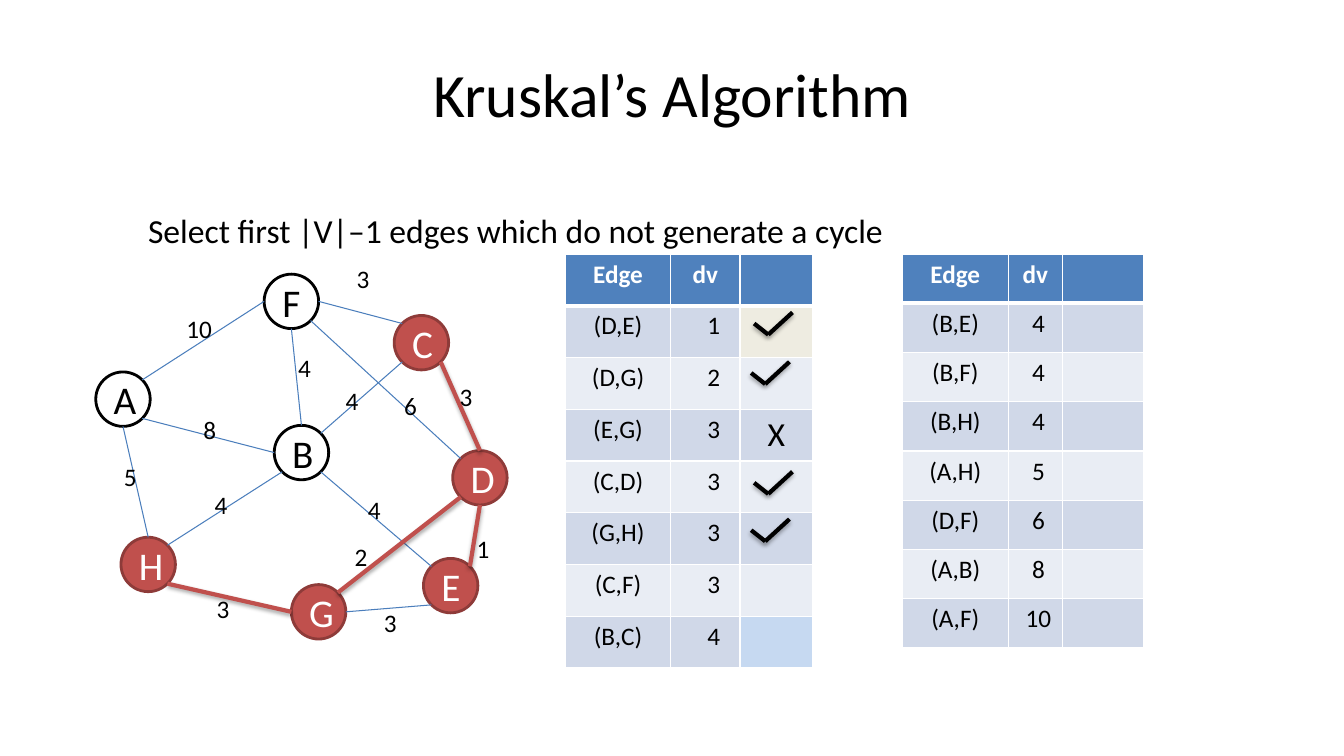
from math import cos, radians, sin

from lxml.etree import SubElement
from pptx import Presentation
from pptx.dml.color import RGBColor
from pptx.enum.shapes import MSO_CONNECTOR, MSO_SHAPE
from pptx.enum.text import MSO_ANCHOR, PP_ALIGN
from pptx.oxml.ns import qn
from pptx.util import Inches, Pt

BLACK = RGBColor(0x00, 0x00, 0x00)
WHITE = RGBColor(0xFF, 0xFF, 0xFF)
RED = RGBColor(0xC0, 0x50, 0x4D)
DARK_RED = RGBColor(0x8E, 0x3B, 0x39)
EDGE_BLUE = RGBColor(0x4B, 0x7E, 0xBC)
HEADER_BLUE = RGBColor(0x4F, 0x81, 0xBD)
BAND_DARK = RGBColor(0xD0, 0xD8, 0xE8)
BAND_LIGHT = RGBColor(0xE9, 0xED, 0xF4)
CREAM = RGBColor(0xEE, 0xEC, 0xE1)
PALE_BLUE = RGBColor(0xC6, 0xD9, 0xF1)

NODE_SIZE = 0.54
COMPASS = {d: 45 * i for i, d in enumerate(["E", "SE", "S", "SW", "W", "NW", "N", "NE"])}

# Centre of each vertex
NODES = {
    "F": (2.89, 2.99), "A": (1.22, 3.96), "H": (1.47, 5.6), "G": (3.16, 6.07),
    "E": (4.47, 5.81), "D": (4.76, 4.74), "C": (4.18, 3.4), "B": (2.99, 4.49),
}
TREE_NODES = "CDEGH"

# Vertex and side where each edge starts and ends
EDGES = [
    ("F", "W", "A", "NE"), ("A", "S", "H", "N"), ("G", "E", "E", "SW"),
    ("C", "NW", "F", "E"), ("B", "NE", "C", "SW"), ("B", "N", "F", "S"),
    ("B", "W", "A", "SE"), ("B", "SW", "H", "NE"), ("B", "SE", "E", "NW"),
    ("D", "NW", "F", "SE"),
]
TREE_EDGES = [
    ("H", "SE", "G", "W"), ("E", "NE", "D", "S"), ("D", "N", "C", "SE"),
    ("D", "SW", "G", "NE"),
]
WEIGHTS = [
    ("1", 4.63, 5.24), ("5", 1.13, 4.53), ("10", 1.75, 3.06), ("3", 4.46, 3.73),
    ("3", 3.71, 5.98), ("3", 2.05, 5.84), ("4", 2.03, 4.81), ("8", 1.92, 4.06),
    ("4", 2.86, 3.45), ("4", 3.33, 3.77), ("4", 3.55, 4.85), ("6", 3.91, 3.82),
    ("2", 3.42, 5.32), ("3", 3.44, 2.56),
]
CHECKS = [(7.62, 3.32), (7.59, 3.81), (7.62, 4.9), (7.59, 5.37)]

HEADER = ("Edge", "dv", "")
FIRST_EDGES = [
    HEADER, ("(D,E)", "1", ""), ("(D,G)", "2", ""), ("(E,G)", "3", "X"),
    ("(C,D)", "3", ""), ("(G,H)", "3", ""), ("(C,F)", "3", ""), ("(B,C)", "4", ""),
]
LAST_EDGES = [
    HEADER, ("(B,E)", "4", ""), ("(B,F)", "4", ""), ("(B,H)", "4", ""),
    ("(A,H)", "5", ""), ("(D,F)", "6", ""), ("(A,B)", "8", ""), ("(A,F)", "10", ""),
]


def rim(name, side):
    """Return the point on a vertex's circle at a compass side."""
    x, y = NODES[name]
    angle = radians(COMPASS[side])
    return x + NODE_SIZE / 2 * cos(angle), y + NODE_SIZE / 2 * sin(angle)


class SlideBuilder:
    def __init__(self, slide, font="Calibri"):
        self.shapes = slide.shapes
        self.font = font

    def set_text(self, tf, text, size, color=BLACK, align=PP_ALIGN.LEFT, bold=False):
        tf.text = text
        p = tf.paragraphs[0]
        p.alignment = align
        for r in p.runs:
            r.font.name = self.font
            r.font.size = Pt(size)
            r.font.bold = bold
            r.font.color.rgb = color

    def text(self, text, x, y, w, h, size, align=PP_ALIGN.LEFT, anchor=MSO_ANCHOR.TOP):
        tf = self.shapes.add_textbox(Inches(x), Inches(y), Inches(w), Inches(h)).text_frame
        tf.word_wrap = True
        tf.vertical_anchor = anchor
        self.set_text(tf, text, size, align=align)

    def node(self, name):
        x, y = NODES[name]
        size = Inches(NODE_SIZE)
        sp = self.shapes.add_shape(MSO_SHAPE.OVAL, Inches(x - NODE_SIZE / 2),
                                   Inches(y - NODE_SIZE / 2), size, size)
        sp.shadow.inherit = False
        in_tree = name in TREE_NODES
        sp.fill.solid()
        sp.fill.fore_color.rgb = RED if in_tree else WHITE
        sp.line.color.rgb = DARK_RED if in_tree else BLACK
        sp.line.width = Pt(2)
        sp.text_frame.vertical_anchor = MSO_ANCHOR.MIDDLE
        self.set_text(sp.text_frame, name, 28, WHITE if in_tree else BLACK, PP_ALIGN.CENTER)

    def line(self, start, end, color, width, shadow=False):
        points = [Inches(v) for v in (*start, *end)]
        cxn = self.shapes.add_connector(MSO_CONNECTOR.STRAIGHT, *points)
        cxn.line.color.rgb = color
        cxn.line.width = Pt(width)
        effects = SubElement(cxn._element.spPr, qn("a:effectLst"))
        if shadow:
            outer = SubElement(effects, qn("a:outerShdw"), blurRad=str(Pt(3.1)),
                               dist=str(Pt(1.8)), dir="5400000", rotWithShape="0")
            clr = SubElement(outer, qn("a:srgbClr"), val=str(BLACK))
            SubElement(clr, qn("a:alpha"), val="35000")

    def check(self, x, y):
        for dx, dy in ((-0.14, -0.11), (0.24, -0.22)):
            self.line((x, y), (x + dx, y + dy), BLACK, 3, shadow=True)

    def borders(self, cell, bottom):
        tc_pr = cell._tc.get_or_add_tcPr()
        for side, width in (("L", 1), ("R", 1), ("T", 1), ("B", bottom)):
            ln = SubElement(tc_pr, qn(f"a:ln{side}"), w=str(Pt(width)))
            fill = SubElement(ln, qn("a:solidFill"))
            SubElement(fill, qn("a:srgbClr"), val=str(WHITE))

    def table(self, rows, x, y, widths, height, dv_indent, special_fills):
        """Draw a banded table; dv_indent moves the weights to the right."""
        table = self.shapes.add_table(len(rows), len(widths), Inches(x), Inches(y),
                                      Inches(sum(widths)), Inches(height)).table
        for column, width in zip(table.columns, widths):
            column.width = Inches(width)
        for i, row in enumerate(rows):
            band = HEADER_BLUE if i == 0 else BAND_DARK if i % 2 else BAND_LIGHT
            for j, text in enumerate(row):
                cell = table.cell(i, j)
                self.borders(cell, bottom=1 if i else 3)
                cell.fill.solid()
                cell.fill.fore_color.rgb = special_fills.get((i, j), band)
                if i and j == 1:
                    cell.margin_left = Inches(0.1 + dv_indent)
                if text:
                    self.set_text(cell.text_frame, text, 24 if text == "X" else 18,
                                  BLACK if i else WHITE, PP_ALIGN.CENTER, bold=i == 0)


def main():
    prs = Presentation()
    prs.slide_width, prs.slide_height = Inches(13.33), Inches(7.5)
    s = SlideBuilder(prs.slides.add_slide(prs.slide_layouts[6]))

    s.text("Kruskal’s Algorithm", 0.67, 0.3, 12, 1.25, 44, PP_ALIGN.CENTER, MSO_ANCHOR.MIDDLE)
    s.text("Select first |V|–1 edges which do not generate a cycle", 1.37, 2.03, 11.5, 4.94, 24)

    for name in NODES:
        s.node(name)
    for a, a_side, b, b_side in EDGES:
        s.line(rim(a, a_side), rim(b, b_side), EDGE_BLUE, 0.75)
    for a, a_side, b, b_side in TREE_EDGES:
        s.line(rim(a, a_side), rim(b, b_side), RED, 3, shadow=True)
    for weight, x, y in WEIGHTS:
        s.text(weight, x, y, 0.53 if len(weight) > 1 else 0.33, 0.4, 18)

    s.table(FIRST_EDGES, 5.61, 2.52, (1.04, 0.69, 0.72), 4.11, 0.17,
            {(1, 2): CREAM, (7, 2): PALE_BLUE})
    s.table(LAST_EDGES, 8.95, 2.52, (1.05, 0.54, 0.8), 3.91, 0.06, {})
    for x, y in CHECKS:
        s.check(x, y)
    prs.save("out.pptx")


if __name__ == "__main__":
    main()
